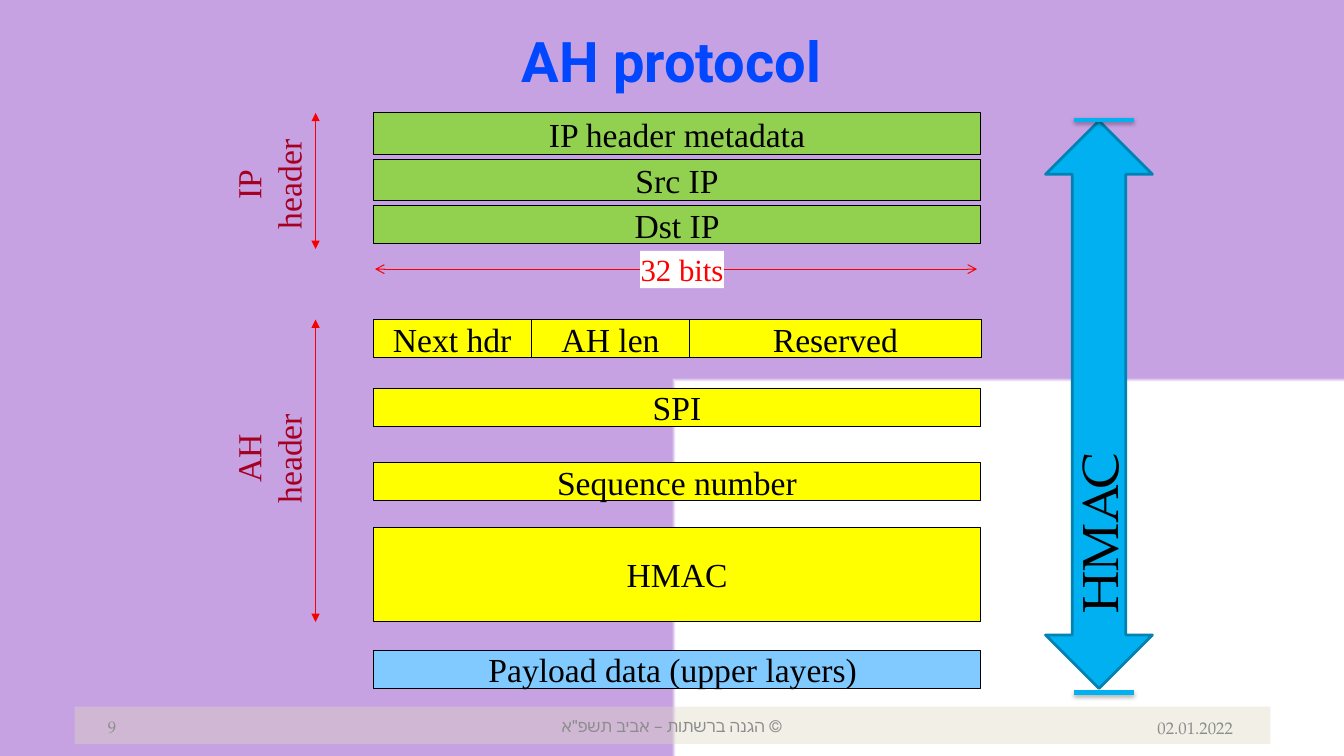
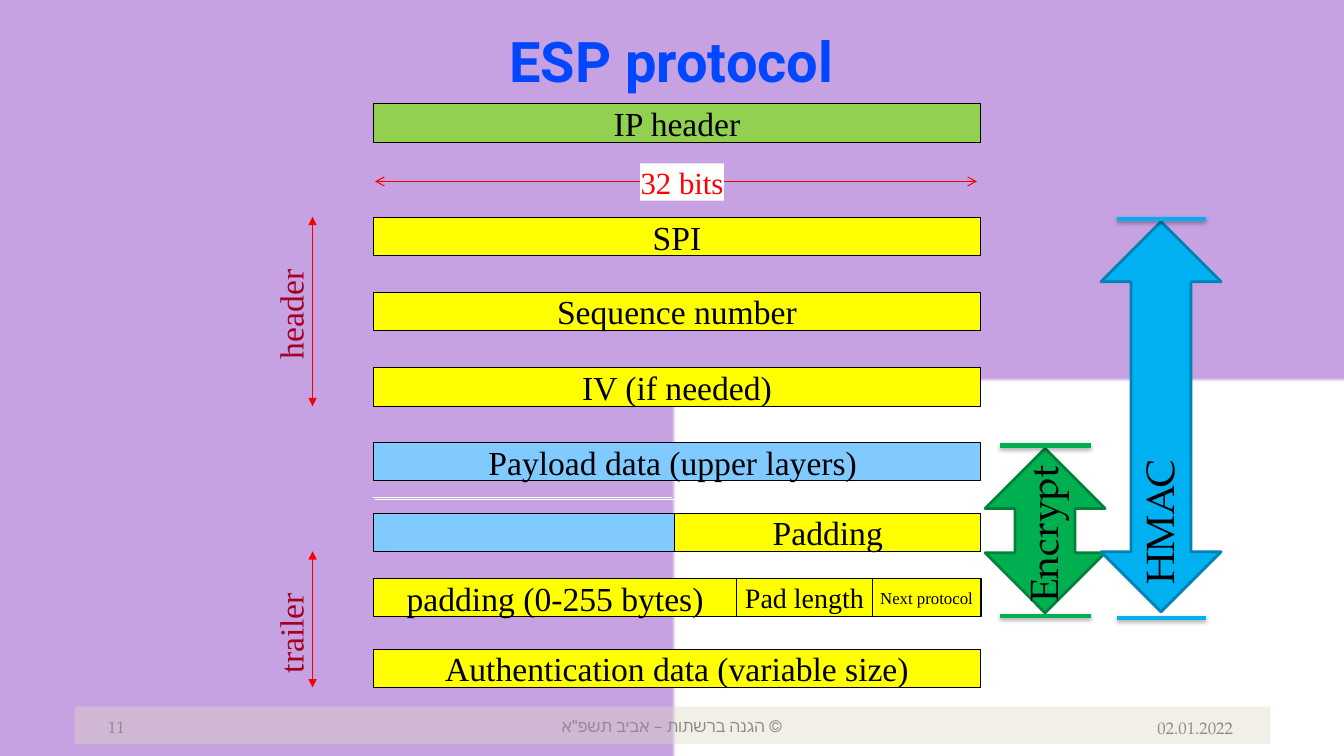
import pptx
import pptx.dml.color
import pptx.enum.shapes
import pptx.enum.text
import pptx.oxml
import pptx.oxml.ns
import pptx.util
from lxml import etree

Inches = pptx.util.Inches
SHAPE = pptx.enum.shapes.MSO_SHAPE
ALIGN = pptx.enum.text.PP_ALIGN

# Shared look
BLACK, WHITE, RED = "000000", "FFFFFF", "F90000"
GREEN, YELLOW, BLUE = "92D050", "FFFF00", "80CAFF"
LILAC, TITLE_BLUE, LABEL_RED, GREY, SAND = "C7A2E3", "0047FF", "A50021", "8C8C8C", "DDD9C3"
HMAC_COLORS = ("00B0F0", "0082B2")
ENCRYPT_COLORS = ("00B050", "00823B")
SERIF, PAGELLA, ROBOTO = "Times New Roman", "TeX Gyre Pagella", "Roboto"

# Packet column
PACKET_LEFT, PACKET_WIDTH, ROW_HEIGHT = 3.7, 6.03, 0.38


def rgb(color):
    return pptx.dml.color.RGBColor.from_string(color)


def add_xml(parent, tag, **attributes):
    child = etree.SubElement(parent, pptx.oxml.ns.qn(tag))
    for name, value in attributes.items():
        child.set(name, str(value))
    return child


def write(shape, lines, size, color, font=SERIF, align=ALIGN.CENTER,
          bold=False, insets=(0, 0), wrap=True, middle=True):
    frame = shape.text_frame
    frame.word_wrap = wrap
    frame.margin_left = frame.margin_right = Inches(insets[0])
    frame.margin_top = frame.margin_bottom = Inches(insets[1])
    anchor = pptx.enum.text.MSO_ANCHOR
    frame.vertical_anchor = anchor.MIDDLE if middle else anchor.TOP
    frame.text = "\n".join(lines)
    for paragraph in frame.paragraphs:
        paragraph.alignment = align
        paragraph.font.name = font
        paragraph.font.size = pptx.util.Pt(size)
        paragraph.font.bold = bold
        paragraph.font.color.rgb = rgb(color)


def add_text(slide, lines, left, top, width, height, *style, **options):
    box = slide.shapes.add_textbox(Inches(left), Inches(top), Inches(width), Inches(height))
    write(box, lines, *style, **options)
    return box


def add_block(slide, kind, left, top, width, height, fill, line=None, weight=0.75):
    block = slide.shapes.add_shape(kind, Inches(left), Inches(top), Inches(width), Inches(height))
    block.shadow.inherit = False
    block.fill.solid()
    block.fill.fore_color.rgb = rgb(fill)
    if line:
        block.line.color.rgb = rgb(line)
        block.line.width = pptx.util.Pt(weight)
    else:
        block.line.fill.background()
    return block


def add_line(slide, start, end, color, weight=0.75, ends=None, shadow=False):
    line = slide.shapes.add_connector(
        pptx.enum.shapes.MSO_CONNECTOR.STRAIGHT,
        Inches(start[0]), Inches(start[1]), Inches(end[0]), Inches(end[1]))
    line.line.color.rgb = rgb(color)
    line.line.width = pptx.util.Pt(weight)
    if ends:
        stroke = line.line._get_or_add_ln()
        add_xml(stroke, "a:headEnd", type=ends)
        add_xml(stroke, "a:tailEnd", type=ends)
    effects = add_xml(line.element.spPr, "a:effectLst")
    if shadow:
        outer = add_xml(effects, "a:outerShdw", blurRad=40000, dist=23000,
                        dir=5400000, rotWithShape=0)
        add_xml(add_xml(outer, "a:srgbClr", val=BLACK), "a:alpha", val=35000)


def add_upright(slide, lines, center_x, center_y, length, thickness, *style, **options):
    """Text that reads from bottom to top around a centre point."""
    box = add_text(slide, lines, center_x - length / 2, center_y - thickness / 2,
                   length, thickness, *style, insets=(0.1, 0.05), middle=False, **options)
    box.rotation = 270


# Packet parts
def add_row(slide, top, fill, *cells, height=ROW_HEIGHT):
    """Adjoining cells of (text, width, size), from the left edge of the packet."""
    left = PACKET_LEFT
    for text, width, size in cells:
        cell = add_block(slide, SHAPE.RECTANGLE, left, top, width, height, fill, BLACK)
        if text:
            write(cell, [text], size, BLACK, wrap=False)
        left += width


def add_full_row(slide, top, fill, text, height=ROW_HEIGHT):
    add_row(slide, top, fill, (text, PACKET_WIDTH, 24), height=height)


def add_bit_width(slide, y):
    add_line(slide, (3.72, y), (9.69, y), RED, ends="arrow")
    label = add_block(slide, SHAPE.RECTANGLE, 6.35, y - 0.18, 0.83, 0.37, WHITE)
    write(label, ["32 bits"], 22, "FF0000", wrap=False)


def add_bracket(slide, lines, x, top, bottom, label_x, label_y):
    add_line(slide, (x, top), (x, bottom), RED, ends="triangle")
    add_upright(slide, lines, label_x, label_y, 1.73, 0.1 + 0.4 * len(lines), 24, LABEL_RED)


def add_coverage(slide, arrow, caps, colors):
    """Block arrow at (left, top, width, height) between caps (left, right, top, bottom)."""
    fill, outline = colors
    add_block(slide, SHAPE.UP_DOWN_ARROW, *arrow, fill, outline, 2)
    cap_left, cap_right, *heights = caps
    for y in heights:
        add_line(slide, (cap_left, y), (cap_right, y), fill, 3, shadow=True)


# Frame of every slide
def set_background(master):
    master.background.fill.gradient()
    gradient = master.element.xpath("./p:cSld/p:bg/p:bgPr/a:gradFill")[0]
    for child in list(gradient):
        gradient.remove(child)
    stops = add_xml(gradient, "a:gsLst")
    for position, color in ((99000, WHITE), (100000, LILAC)):
        add_xml(add_xml(stops, "a:gs", pos=position), "a:srgbClr", val=color)
    shade = add_xml(gradient, "a:path", path="rect")
    add_xml(shade, "a:fillToRect", l=100000, t=100000)
    add_xml(gradient, "a:tileRect", r=-100000, b=-100000)


def start_slide(deck, title, number):
    slide = deck.slides.add_slide(deck.slide_layouts[6])
    band = add_block(slide, SHAPE.RECTANGLE, 0.74, 7.01, 11.86, 0.37, SAND)
    add_xml(band.element.xpath("./p:spPr/a:solidFill/a:srgbClr")[0], "a:alpha", val=41000)
    footer = (12, GREY, PAGELLA)
    course = add_text(slide, ["© הגנה ברשתות – אביב תשפ\"א"], 3.99, 7, 5.35, 0.4,
                      *footer, insets=(0.09, 0.05))
    course.text_frame.paragraphs[0]._p.get_or_add_pPr().set("rtl", "1")
    add_text(slide, [str(number)], 0.94, 7.01, 0.79, 0.4, *footer, ALIGN.LEFT,
             insets=(0.13, 0.05))
    add_text(slide, ["02.01.2022"], 10.81, 7.02, 1.51, 0.4, *footer, ALIGN.RIGHT,
             insets=(0.09, 0.05))
    add_text(slide, [title], 0.15, 0.16, 13.02, 0.87, 40, TITLE_BLUE, ROBOTO, bold=True)
    return slide


def build_ah(deck):
    slide = start_slide(deck, "AH protocol", 9)
    # Packet
    add_full_row(slide, 1.12, GREEN, "IP header metadata", 0.41)
    add_full_row(slide, 1.58, GREEN, "Src IP", 0.41)
    add_full_row(slide, 2.04, GREEN, "Dst IP")
    add_bit_width(slide, 2.67)
    add_row(slide, 3.17, YELLOW,
            ("Next hdr", 1.57, 24), ("AH len", 1.57, 24), ("Reserved", 2.89, 24))
    add_full_row(slide, 3.85, YELLOW, "SPI")
    add_full_row(slide, 4.59, YELLOW, "Sequence number")
    add_full_row(slide, 5.23, YELLOW, "HMAC", 0.94)
    add_full_row(slide, 6.45, BLUE, "Payload data (upper layers) ")
    # Headers and authenticated part
    add_bracket(slide, ["IP", "header"], 3.13, 1.12, 2.47, 2.66, 1.83)
    add_bracket(slide, ["AH", "header"], 3.13, 3.17, 6.17, 2.66, 4.55)
    add_coverage(slide, (10.37, 1.2, 1.06, 5.63), (10.65, 11.25, 1.19, 6.87), HMAC_COLORS)
    add_upright(slide, ["HMAC"], 10.9, 3.75, 4.87, 0.71, 36, BLACK, PAGELLA, ALIGN.LEFT)


def build_esp(deck):
    slide = start_slide(deck, "ESP protocol", 11)
    # Packet
    add_full_row(slide, 1.03, GREEN, "IP header")
    add_bit_width(slide, 1.8)
    add_full_row(slide, 2.16, YELLOW, "SPI")
    add_full_row(slide, 2.9, YELLOW, "Sequence number")
    add_full_row(slide, 3.65, YELLOW, "IV (if needed)")
    add_full_row(slide, 4.39, BLUE, "Payload data (upper layers) ")
    for left, y in ((3.7, 4.94), (3.72, 4.96)):
        add_line(slide, (left, y), (left + 2.97, y), WHITE)
    add_full_row(slide, 5.09, YELLOW, "")
    add_row(slide, 5.09, BLUE, ("", 2.99, 24))
    add_text(slide, ["Padding"], 6.69, 5.09, 3.04, ROW_HEIGHT, 24, BLACK)
    add_row(slide, 5.74, YELLOW, ("padding (0-255 bytes)", 3.61, 24),
            ("Pad length", 1.34, 20), ("Next protocol", 1.08, 12))
    add_full_row(slide, 6.44, YELLOW, "Authentication data (variable size)")
    # Header, trailer and protected parts
    add_bracket(slide, ["header"], 3.1, 2.15, 4.03, 2.88, 3.12)
    add_bracket(slide, ["trailer"], 3.1, 5.47, 6.82, 2.88, 6.28)
    add_coverage(slide, (9.77, 4.45, 1.19, 1.63), (9.92, 10.82, 4.42, 6.11), ENCRYPT_COLORS)
    add_coverage(slide, (10.92, 2.2, 1.19, 3.87), (11.08, 11.96, 2.17, 6.13), HMAC_COLORS)
    for label, x, y, length in (("HMAC", 11.5, 5.16, 1.48), ("Encrypt", 10.35, 5.22, 1.72)):
        add_upright(slide, [label], x, y, length, 0.57, 28, BLACK, PAGELLA, ALIGN.LEFT)


def main():
    deck = pptx.Presentation()
    deck.slide_width, deck.slide_height = Inches(13.33), Inches(7.5)
    set_background(deck.slide_master)
    build_ah(deck)
    build_esp(deck)
    deck.save("out.pptx")


if __name__ == "__main__":
    main()
